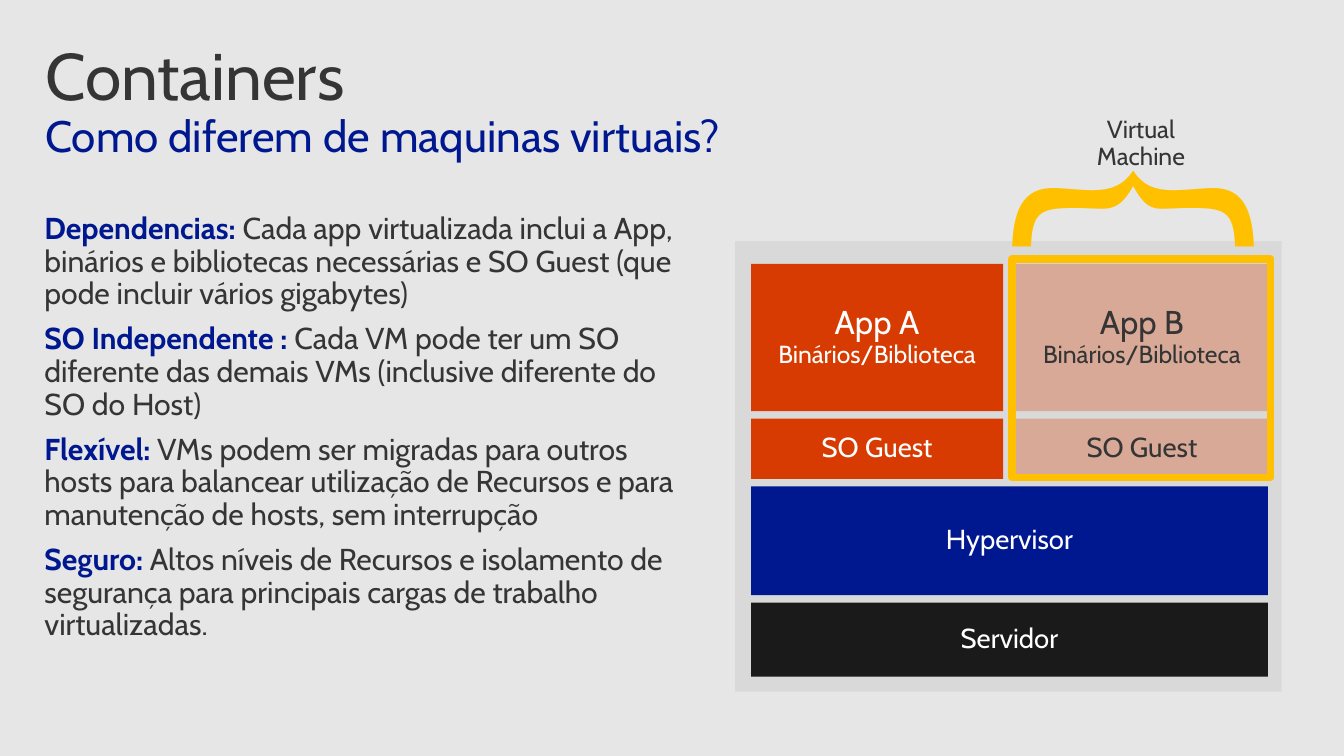
from dataclasses import dataclass
from typing import Optional

from lxml.etree import SubElement
from pptx import Presentation
from pptx.dml.color import RGBColor
from pptx.enum.shapes import MSO_SHAPE as Shape
from pptx.enum.text import MSO_ANCHOR as Anchor, MSO_AUTO_SIZE as AutoSize, PP_ALIGN as Align
from pptx.oxml.ns import qn
from pptx.util import Inches, Pt

BACKGROUND = RGBColor(0xE6, 0xE6, 0xE6)
PANEL = RGBColor(0xD9, 0xD9, 0xD9)
DARK = RGBColor(0x35, 0x35, 0x35)
BLUE = RGBColor(0x00, 0x18, 0x8F)
ORANGE = RGBColor(0xD8, 0x3B, 0x01)
YELLOW = RGBColor(0xFF, 0xC0, 0x00)
BLACK = RGBColor(0x1A, 0x1A, 0x1A)
WHITE = RGBColor(0xFF, 0xFF, 0xFF)

FONT = "Cabin"
WIDTH, HEIGHT = Inches(13.6), Inches(7.65)
COLUMN, ROW = WIDTH / 136, HEIGHT / 76.5
STACK_LEFT, STACK_TOP = 76, 26.7
APP_WIDTH, APP_GAP, LAYER_GAP = 25.5, 1.3, 0.76
STACK_WIDTH = 2 * APP_WIDTH + APP_GAP
LAYER_HEIGHTS = (14.9, 6.1, 11, 7.5)
BLOCK_INSETS = (2, 1.6, 2, 1.6)


@dataclass(frozen=True)
class Area:
    left: float
    top: float
    width: float
    height: float

    def emu(self) -> tuple[int, int, int, int]:
        return (round(self.left * COLUMN), round(self.top * ROW),
                round(self.width * COLUMN), round(self.height * ROW))


@dataclass(frozen=True)
class Span:
    text: str
    size: float
    color: RGBColor
    bold: bool = False


@dataclass(frozen=True)
class Block:
    layer: int
    column: int
    columns: int
    fill: RGBColor
    color: RGBColor
    lines: tuple[tuple[str, int], ...]
    alpha: Optional[int] = None

    def area(self) -> Area:
        left = STACK_LEFT + self.column * (APP_WIDTH + APP_GAP)
        top = STACK_TOP + sum(LAYER_HEIGHTS[:self.layer]) + self.layer * LAYER_GAP
        width = STACK_WIDTH if self.columns == 2 else APP_WIDTH
        return Area(left, top, width, LAYER_HEIGHTS[self.layer])


APP_LIBRARIES = ("Binários/Biblioteca", 18)
BLOCKS = (
    Block(0, 0, 1, ORANGE, WHITE, (("App A", 24), APP_LIBRARIES)),
    Block(0, 1, 1, ORANGE, DARK, (("App B", 24), APP_LIBRARIES), 30),
    Block(1, 0, 1, ORANGE, WHITE, (("SO Guest", 20),)),
    Block(1, 1, 1, ORANGE, DARK, (("SO Guest", 20),), 30),
    Block(2, 0, 2, BLUE, WHITE, (("Hypervisor", 20),)),
    Block(3, 0, 2, BLACK, WHITE, (("Servidor", 20),)),
)
TOPICS = (
    ("Dependencias: ", "Cada app virtualizada inclui a App, binários e bibliotecas "
     "necessárias e SO Guest (que pode incluir vários gigabytes)"),
    ("SO Independente : ", "Cada VM pode ter um SO diferente das demais VMs "
     "(inclusive diferente do SO do Host)"),
    ("Flexível: ", "VMs podem ser migradas para outros hosts para balancear utilização "
     "de Recursos e para manutenção de hosts, sem interrupção"),
    ("Seguro: ", "Altos níveis de Recursos e isolamento de segurança para principais "
     "cargas de trabalho virtualizadas."),
)


def set_frame(tf, insets: tuple[float, ...], wrap: bool = True) -> None:
    left, top, right, bottom = insets
    tf.margin_left, tf.margin_right = round(left * COLUMN), round(right * COLUMN)
    tf.margin_top, tf.margin_bottom = round(top * ROW), round(bottom * ROW)
    tf.word_wrap = wrap
    if not wrap:
        tf.auto_size = AutoSize.SHAPE_TO_FIT_TEXT


def add_spans(p, spans: list[Span], align: Align = Align.LEFT, broken: bool = False) -> None:
    p.alignment = align
    p.line_spacing = 0.9
    for i, span in enumerate(spans):
        if broken and i:
            p.add_line_break()
        r = p.add_run()
        r.text = span.text
        r.font.name = FONT
        r.font.size = Pt(span.size)
        r.font.bold = span.bold
        r.font.color.rgb = span.color


def add_text(slide, area: Area, insets: tuple[float, ...], wrap: bool = True):
    sp = slide.shapes.add_textbox(*area.emu())
    set_frame(sp.text_frame, insets, wrap)
    return sp


def add_rect(slide, area: Area, fill: Optional[RGBColor], alpha: Optional[int] = None):
    sp = slide.shapes.add_shape(Shape.RECTANGLE, *area.emu())
    sp.shadow.inherit = False
    sp.line.fill.background()
    if fill is None:
        sp.fill.background()
        return sp
    sp.fill.solid()
    sp.fill.fore_color.rgb = fill
    if alpha is not None:
        color = sp.fill._xPr.find(qn("a:solidFill"))[0]
        SubElement(color, qn("a:alpha")).set("val", str(alpha * 1000))
    return sp


def add_block(slide, block: Block) -> None:
    sp = add_rect(slide, block.area(), block.fill, block.alpha)
    tf = sp.text_frame
    set_frame(tf, BLOCK_INSETS)
    tf.vertical_anchor = Anchor.MIDDLE
    spans = [Span(text, size, block.color) for text, size in block.lines]
    add_spans(tf.paragraphs[0], spans, Align.CENTER, broken=True)


def add_topics(slide) -> None:
    tf = add_text(slide, Area(2.5, 19.6, 68.4, 41.5), (2, 2, 2, 1)).text_frame
    for i, (term, detail) in enumerate(TOPICS):
        p = tf.add_paragraph() if i else tf.paragraphs[0]
        if i:
            p.space_before = Pt(3.1)
        p.space_after = Pt(6.1)
        add_spans(p, [Span(term, 22, BLUE, True), Span(detail, 22, DARK)])


def main() -> None:
    prs = Presentation()
    prs.slide_width, prs.slide_height = WIDTH, HEIGHT
    slide = prs.slides.add_slide(prs.slide_layouts[6])
    slide.background.fill.solid()
    slide.background.fill.fore_color.rgb = BACKGROUND

    add_rect(slide, Area(74.4, 24.4, 55.3, 45.6), PANEL)
    title = add_text(slide, Area(3, 3.4, 131.9, 9.8), (1.6, 1, 1.6, 1))
    add_spans(title.text_frame.paragraphs[0], [
        Span("Containers", 48, DARK),
        Span("Como diferem de maquinas virtuais?", 32, BLUE)], broken=True)
    add_topics(slide)

    brace = add_text(slide, Area(108.2, 4.1, 12.5, 33.4), BLOCK_INSETS, wrap=False)
    brace.rotation = 270
    add_spans(brace.text_frame.paragraphs[0], [Span("}", 199, YELLOW)])
    label = add_text(slide, Area(108.7, 10.3, 13.5, 8.7), BLOCK_INSETS, wrap=False)
    add_spans(label.text_frame.paragraphs[0], [
        Span("Virtual", 18, DARK), Span("Machine", 18, DARK)], Align.CENTER, broken=True)

    for block in BLOCKS:
        add_block(slide, block)
    outline = add_rect(slide, Area(102.4, 26.2, 26.2, 22.1), None)
    outline.line.color.rgb = YELLOW
    outline.line.width = Pt(5.25)

    prs.save("out.pptx")


if __name__ == "__main__":
    main()
